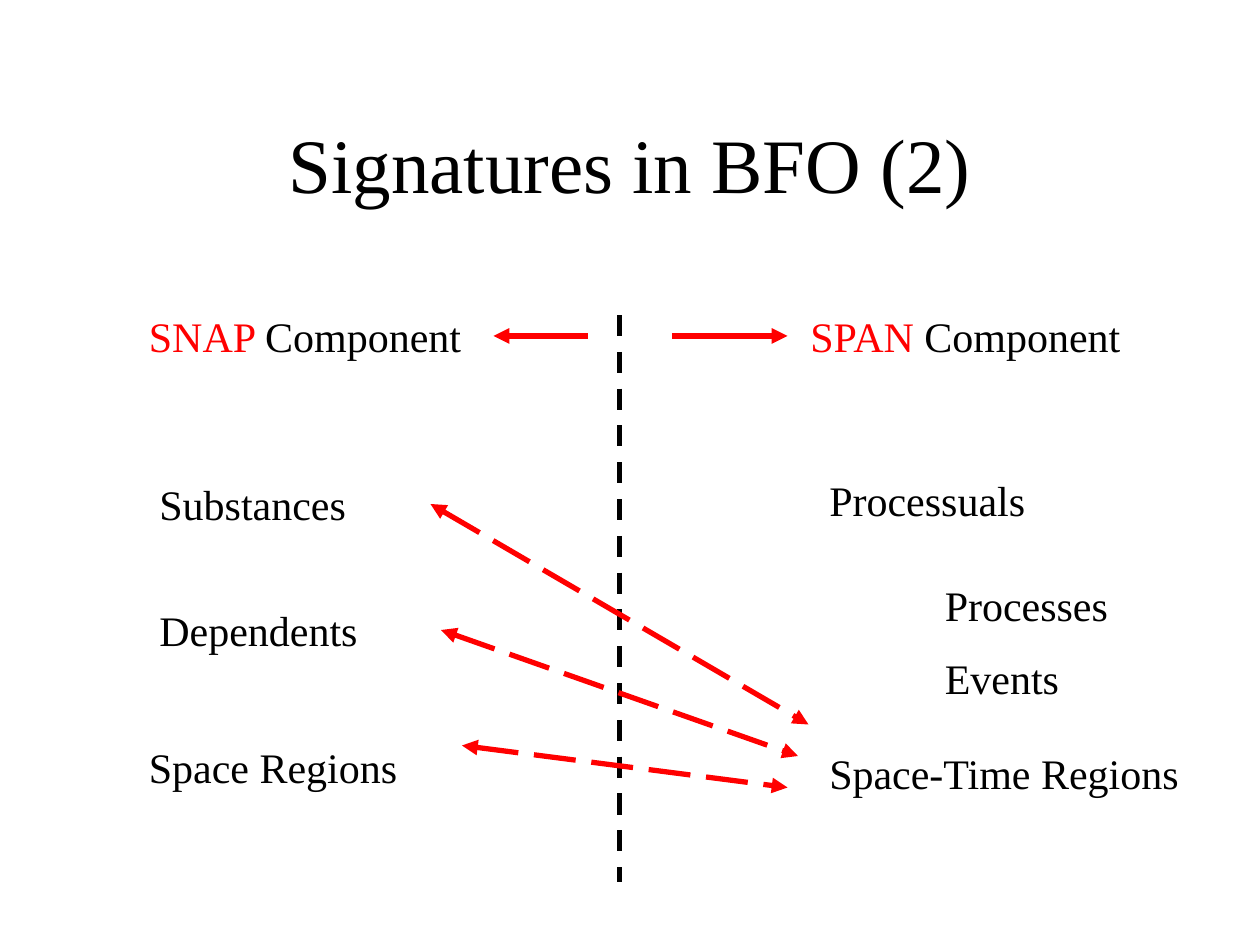
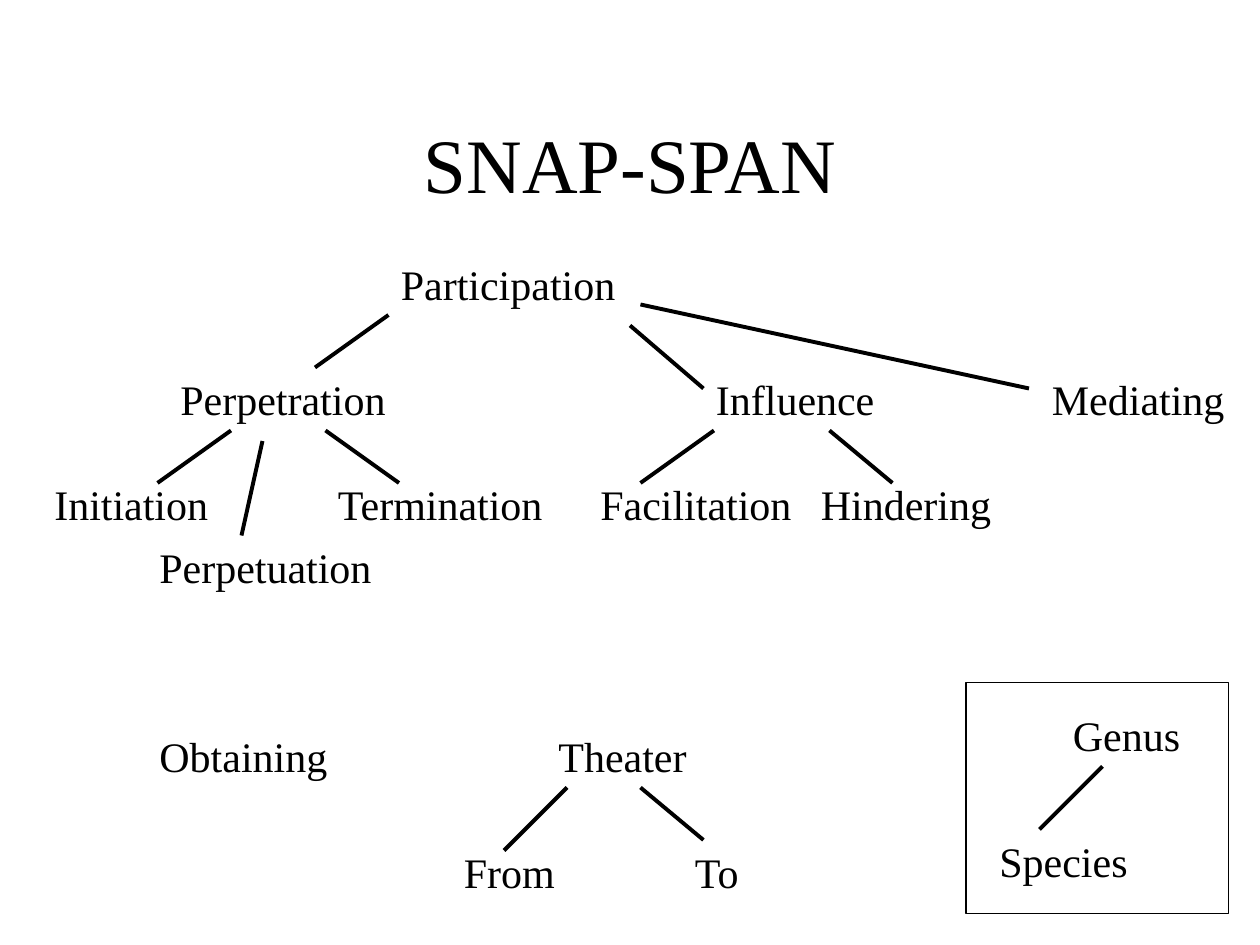
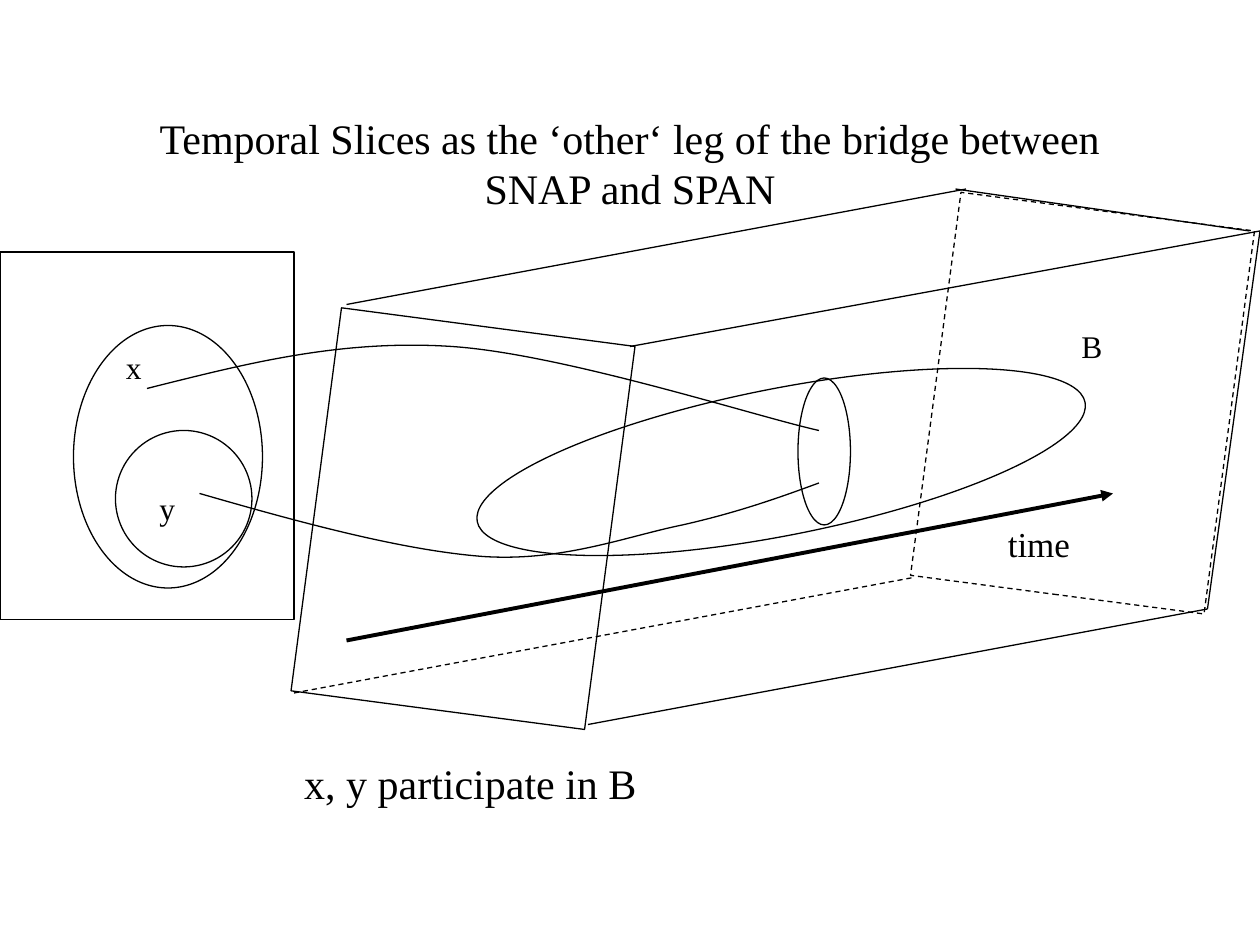
from dataclasses import dataclass

from lxml import etree
from pptx import Presentation
from pptx.dml.color import RGBColor
from pptx.enum.dml import MSO_LINE
from pptx.enum.shapes import MSO_CONNECTOR, MSO_SHAPE
from pptx.enum.text import MSO_ANCHOR, MSO_AUTO_SIZE, PP_ALIGN
from pptx.oxml.ns import qn
from pptx.util import Inches, Pt

STRAIGHT = MSO_CONNECTOR.STRAIGHT
RECTANGLE = MSO_SHAPE.RECTANGLE
ELLIPSE = MSO_SHAPE.OVAL
DASH = MSO_LINE.DASH
LONG_DASH = MSO_LINE.LONG_DASH
MIDDLE = MSO_ANCHOR.MIDDLE
CENTER = PP_ALIGN.CENTER
FIT_SHAPE = MSO_AUTO_SIZE.SHAPE_TO_FIT_TEXT
NO_FIT = MSO_AUTO_SIZE.NONE

COLUMNS, ROWS = 120, 90
TITLE_ONLY = 5


@dataclass(frozen=True)
class Theme:
    font: str = "Times New Roman"
    ink: RGBColor = RGBColor(0, 0, 0)
    accent: RGBColor = RGBColor(255, 0, 0)
    title: int = 44
    body: int = 24
    axis: int = 20
    small: int = 18
    thin: float = 0.75
    medium: float = 2.25
    thick: float = 3


THEME = Theme()


class DeckBuilder:
    """Places elements on a grid of 120 columns by 90 rows."""

    def __init__(self, theme):
        self.theme = theme
        self.deck = Presentation()
        self.deck.slide_width = Inches(10)
        self.deck.slide_height = Inches(7.5)
        self.page = None

    def grid(self, *lengths):
        """Turn alternating column and row counts into slide lengths."""
        units = (self.deck.slide_width / COLUMNS, self.deck.slide_height / ROWS)
        return [round(length * units[i % 2]) for i, length in enumerate(lengths)]

    def style(self, para, size):
        para.font.name = self.theme.font
        para.font.size = Pt(size)
        para.font.color.rgb = self.theme.ink

    def stroke(self, line, width, color=None, dash=None):
        line.color.rgb = color or self.theme.ink
        line.width = Pt(width)
        if dash:
            line.dash_style = dash

    def add_page(self, title, size=None):
        layout = self.deck.slide_layouts[TITLE_ONLY]
        self.page = self.deck.slides.add_slide(layout)
        box = self.page.shapes.title
        box.left, box.top, box.width, box.height = self.grid(9, 8, 102, 15)
        frame = box.text_frame
        frame.text = title
        frame.vertical_anchor = MIDDLE
        frame.auto_size = NO_FIT
        para = frame.paragraphs[0]
        para.alignment = CENTER
        self.style(para, size or self.theme.title)

    def label(self, text, left, top, width, size=None, accent="", wrap=False):
        """Add a text box; the accent part comes first, in the accent colour."""
        size = size or self.theme.body
        height = 0.2 * size + 1.2
        box = self.page.shapes.add_textbox(*self.grid(left, top, width, height))
        frame = box.text_frame
        frame.word_wrap = wrap
        frame.auto_size = FIT_SHAPE
        para = frame.paragraphs[0]
        self.style(para, size)
        if accent:
            span = para.add_run()
            span.text = accent
            span.font.color.rgb = self.theme.accent
        para.add_run().text = text

    def line(self, *ends, width, color=None, dash=None, arrows=()):
        """Draw a line; arrows names the ends that get a head."""
        connector = self.page.shapes.add_connector(STRAIGHT, *self.grid(*ends))
        self.stroke(connector.line, width, color, dash)
        outline = connector.line._get_or_add_ln()
        for end in arrows:
            etree.SubElement(outline, qn(f"a:{end}"), type="triangle")
        etree.SubElement(connector._element.spPr, qn("a:effectLst"))

    def finish_outline(self, shape, dash=None):
        shape.shadow.inherit = False
        shape.fill.background()
        self.stroke(shape.line, self.theme.thin, dash=dash)

    def outline(self, kind, *frame, rotation=0, dash=None):
        shape = self.page.shapes.add_shape(kind, *self.grid(*frame))
        shape.rotation = rotation
        self.finish_outline(shape, dash)

    def curve(self, start, *controls):
        """Draw joined cubic curves, each given by three control points."""
        builder = self.page.shapes.build_freeform(*self.grid(*start))
        builder.add_line_segments([self.grid(*point) for point in controls],
                                  close=False)
        shape = builder.convert_to_shape()
        segments = list(shape._element.iter(qn("a:lnTo")))
        for i in range(0, len(segments), 3):
            cubic, *others = segments[i:i + 3]
            cubic.tag = qn("a:cubicBezTo")
            for segment in others:
                cubic.append(segment[0])
                segment.getparent().remove(segment)
        self.finish_outline(shape)


def add_signatures(builder):
    builder.add_page("Signatures in BFO (2)")
    builder.label("Component", 13, 29, 36, accent="SNAP ", wrap=True)
    builder.label(" Component", 76, 29, 32.3, accent="SPAN")
    builder.label("Substances", 14, 45, 21.7, wrap=True)
    for text, left, top, width in (
        ("Dependents", 14, 57, 21.5),
        ("Space Regions", 13, 70, 26.3),
        ("Processuals", 77.8, 44.6, 21.3),
        ("Processes", 88.8, 54.6, 18.2),
        ("Events", 88.8, 61.6, 13.5),
        ("Space-Time Regions", 77.8, 70.6, 36),
    ):
        builder.label(text, left, top, width)

    builder.line(59, 30, 59, 84, width=THEME.thick, dash=DASH)
    for ends in ((64, 32, 75, 32), (56, 32, 47, 32)):
        builder.line(*ends, width=THEME.thick, color=THEME.accent,
                     arrows=("tailEnd",))
    for ends in ((41, 48, 77, 69), (42, 60, 76, 72), (44, 71, 75, 75)):
        builder.line(*ends, width=THEME.thick, color=THEME.accent,
                     dash=LONG_DASH, arrows=("headEnd", "tailEnd"))


def add_relation_trees(builder):
    builder.add_page("SNAP-SPAN")
    for text, left, top, width in (
        ("Participation", 37, 24, 23),
        ("Perpetration", 16, 35, 22.2),
        ("Influence", 67, 35, 17.7),
        ("Mediating", 99, 35, 19.1),
        ("Initiation", 4, 45, 17.3),
        ("Termination", 31, 45, 22.4),
        ("Facilitation", 56, 45, 20.8),
        ("Hindering", 77, 45, 18.8),
        ("Perpetuation", 14, 51, 22.8),
        ("Obtaining", 14, 69, 18.6),
        ("Theater", 52, 69, 14.8),
        ("From", 43, 80, 11.3),
        ("To", 65, 80, 7),
        ("Genus", 101, 67, 12.8),
        ("Species", 94, 79, 14.8),
    ):
        builder.label(text, left, top, width)

    participation = ((37, 30, 30, 35), (60, 31, 67, 37), (61, 29, 98, 37))
    perpetration = ((22, 41, 15, 46), (25, 42, 23, 51), (31, 41, 38, 46))
    influence = ((68, 41, 61, 46), (79, 41, 85, 46))
    theater = ((54, 75, 48, 81), (61, 75, 67, 80))
    genus = ((105, 73, 99, 79),)
    for branch in participation + perpetration + influence + theater + genus:
        builder.line(*branch, width=THEME.medium)
    builder.outline(RECTANGLE, 92, 65, 25, 22)


def add_temporal_slices(builder):
    builder.add_page("Temporal Slices as the ‘other‘ leg of the bridge "
                     "between SNAP and SPAN", THEME.body)
    builder.outline(ELLIPSE, 76, 36, 5, 14)
    builder.curve((14, 37), (23.2, 34.7), (32.3, 32.3), (43, 33),
                  (53.6, 33.7), (72.1, 39.7), (78, 41))
    builder.curve((19, 47), (28.7, 49.8), (38.3, 52.4), (46, 53),
                  (53.6, 53.5), (59.6, 51.1), (65, 50),
                  (70.3, 48.8), (74.2, 47.4), (78, 46))

    builder.outline(RECTANGLE, 0, 24, 28, 35)
    builder.outline(ELLIPSE, 7, 31, 18, 25)
    builder.outline(ELLIPSE, 11, 41, 13, 13)

    face_size, tilt = (28.2, 36.8), 7.5
    builder.outline(RECTANGLE, 89, 20, *face_size, rotation=tilt, dash=DASH)
    builder.outline(RECTANGLE, 30, 31, *face_size, rotation=tilt)
    for edge in ((33, 29, 92, 18), (60, 33, 120, 22), (56, 69, 115, 58),
                 (91, 18, 119, 22), (120, 22, 115, 58)):
        builder.line(*edge, width=THEME.thin)
    builder.line(28, 66, 87, 55, width=THEME.thin, dash=DASH)
    builder.outline(ELLIPSE, 44.9, 37, 59, 14, rotation=348.9)
    builder.line(33, 61, 106, 47, width=THEME.medium, arrows=("tailEnd",))

    for text, left, top, width, size in (
        ("x", 10.8, 32.6, 3.9, THEME.small),
        ("y", 14, 46, 3.9, THEME.small),
        ("B", 101.8, 30.6, 4.4, THEME.small),
        ("time", 94.8, 49.2, 8.5, THEME.axis),
        ("x, y participate in B", 27.8, 71.6, 34.3, THEME.body),
    ):
        builder.label(text, left, top, width, size)


def main():
    builder = DeckBuilder(THEME)
    add_signatures(builder)
    add_relation_trees(builder)
    add_temporal_slices(builder)
    builder.deck.save("out.pptx")


if __name__ == "__main__":
    main()
